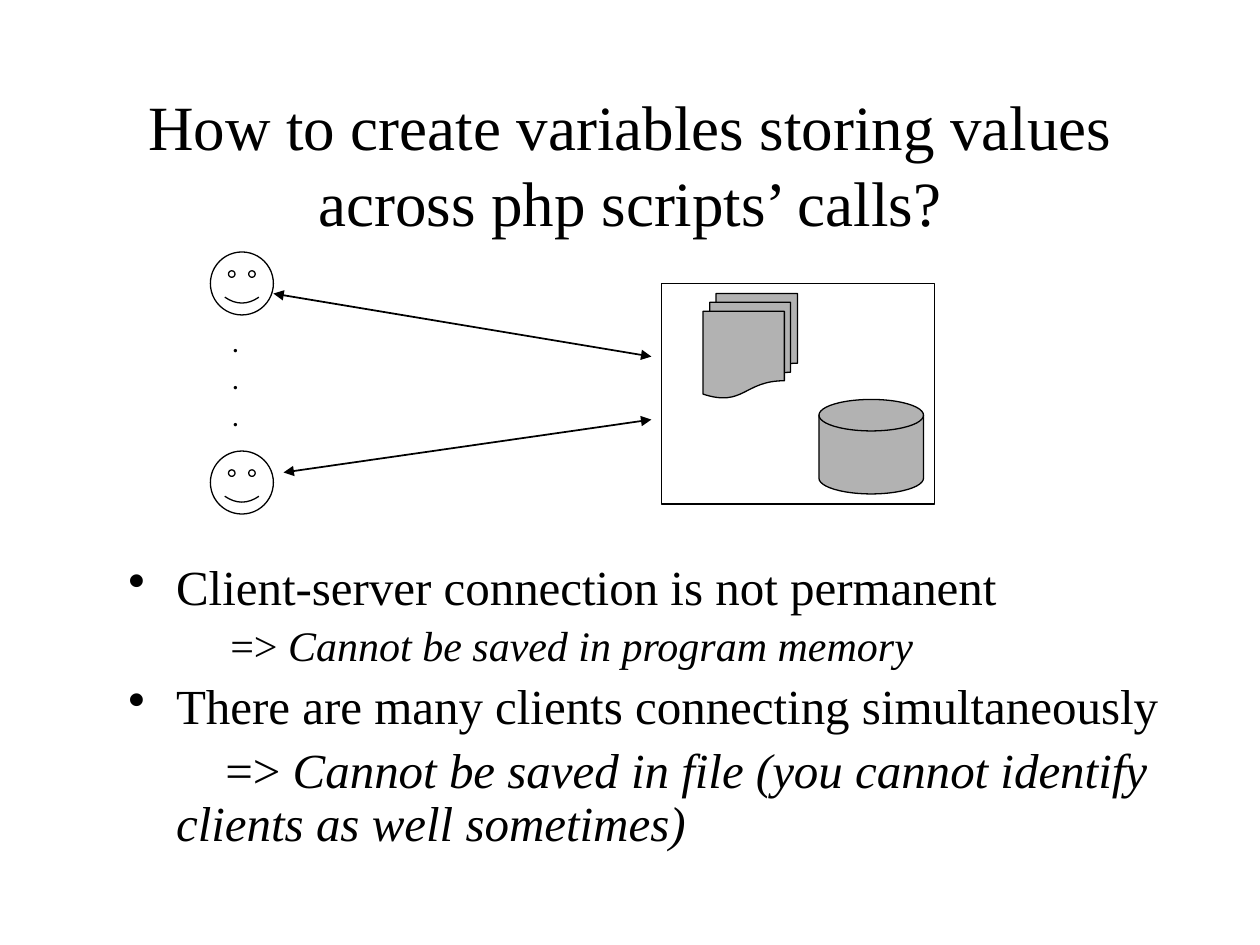
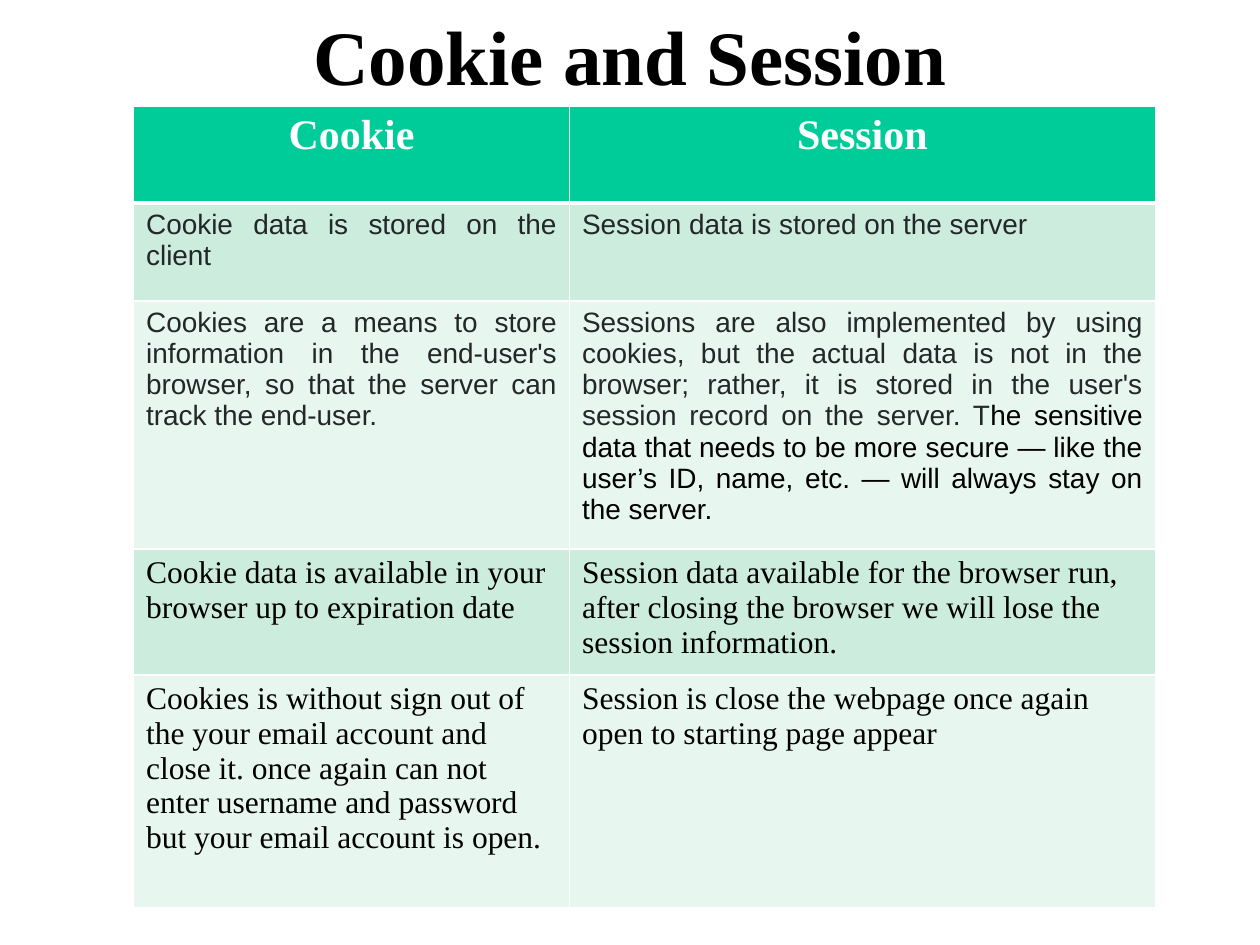
import pptx
import pptx.util
import pptx.dml.color
import pptx.enum.shapes
import pptx.enum.text
import pptx.oxml
import pptx.oxml.ns

Inches = pptx.util.Inches
Pt = pptx.util.Pt
SHAPE = pptx.enum.shapes.MSO_SHAPE
ALIGN = pptx.enum.text.PP_ALIGN
NS = pptx.oxml.ns.nsdecls("a")
SERIF = "Times New Roman"
SANS = "Arial"
BLACK, WHITE, GREY, INK = "000000", "FFFFFF", "B2B2B2", "242729"
GREEN, MINT, PALE = "00CC99", "CCECDE", "E7F6EF"


def rgb(value):
    return pptx.dml.color.RGBColor.from_string(value)


def text(p, t, size=18, font=SERIF, color=BLACK, bold=False, italic=False,
         align=None, before=None, line=None):
    if align is not None:
        p.alignment = align
    if before is not None:
        p.space_before = Pt(before)
    if line is not None:
        p.line_spacing = line
    r = p.add_run()
    r.text = t
    r.font.size = Pt(size)
    r.font.name = font
    r.font.bold = bold
    r.font.italic = italic
    r.font.color.rgb = rgb(color)


prs = pptx.Presentation()
prs.slide_width = Inches(10)
prs.slide_height = Inches(7.5)

titles = [
    ("How to create variables storing values across php scripts’ calls?", 0.67, 36, False),
    ("Cookie and Session", -0.19, 44, True),
]
slides = []
for title, top, size, bold in titles:
    s = prs.slides.add_slide(prs.slide_layouts[6])
    s.background.fill.solid()
    s.background.fill.fore_color.rgb = rgb(WHITE)
    tf = s.shapes.add_textbox(Inches(0.75), Inches(top), Inches(8.5), Inches(1.25)).text_frame
    tf.word_wrap = True
    tf.vertical_anchor = pptx.enum.text.MSO_ANCHOR.MIDDLE
    text(tf.paragraphs[0], title, size=size, bold=bold, align=ALIGN.CENTER)
    slides.append(s)

s = slides[0]
tf = s.shapes.add_textbox(Inches(0.92), Inches(4.42), Inches(8.5), Inches(2.33)).text_frame
tf.word_wrap = True
points = [
    (28, 0.38, -0.38, True, "Client-server connection is not permanent", ""),
    (24, 0.81, 0, False, "=> ", "Cannot be saved in program memory"),
    (28, 0.38, -0.38, True, "There are many clients connecting simultaneously", ""),
    (28, 0.38, 0.39, False, "=> ",
     "Cannot be saved in file (you cannot identify clients as well sometimes)"),
]
for i, (size, margin, indent, bullet, plain, slanted) in enumerate(points):
    p = tf.add_paragraph() if i else tf.paragraphs[0]
    text(p, plain, size=size, before=size * 0.23, line=0.9)
    if slanted:
        text(p, slanted, size=size, italic=True)
    pPr = p._p.get_or_add_pPr()
    pPr.set("marL", str(Inches(margin)))
    pPr.set("indent", str(Inches(indent)))
    if bullet:
        pPr.append(pptx.oxml.parse_xml(f'<a:buChar {NS} char="•"/>'))

shapes = [
    (SHAPE.SMILEY_FACE, 1.67, 2, 0.5, 0.5, None),
    (SHAPE.SMILEY_FACE, 1.67, 3.58, 0.5, 0.5, None),
    (SHAPE.RECTANGLE, 5.25, 2.25, 2.17, 1.75, None),
    (SHAPE.FLOWCHART_MULTIDOCUMENT, 5.58, 2.33, 0.75, 0.83, GREY),
    (SHAPE.FLOWCHART_MAGNETIC_DISK, 6.5, 3.17, 0.83, 0.75, GREY),
]
for kind, x, y, w, h, fill in shapes:
    sp = s.shapes.add_shape(kind, Inches(x), Inches(y), Inches(w), Inches(h))
    sp.shadow.inherit = False
    sp.line.color.rgb = rgb(BLACK)
    sp.line.width = Pt(0.75)
    if fill:
        sp.fill.solid()
        sp.fill.fore_color.rgb = rgb(fill)
    else:
        sp.fill.background()

for x1, y1, x2, y2 in [(2.17, 2.33, 5.17, 2.83), (2.25, 3.75, 5.17, 3.33)]:
    sp = s.shapes.add_connector(pptx.enum.shapes.MSO_CONNECTOR.STRAIGHT,
                                Inches(x1), Inches(y1), Inches(x2), Inches(y2))
    sp.line.color.rgb = rgb(BLACK)
    sp.line.width = Pt(1)
    for end in ("headEnd", "tailEnd"):
        sp.line._get_or_add_ln().append(pptx.oxml.parse_xml(f'<a:{end} {NS} type="triangle"/>'))
    sp._element.spPr.append(pptx.oxml.parse_xml(f"<a:effectLst {NS}/>"))

tf = s.shapes.add_textbox(Inches(1.75), Inches(2.58), Inches(0.42), Inches(0.9)).text_frame
tf.word_wrap = True
for i in range(3):
    p = tf.add_paragraph() if i else tf.paragraphs[0]
    text(p, ".", size=12, bold=True, before=6.9)

s = slides[1]
head = dict(size=24, color=WHITE, bold=True, align=ALIGN.CENTER)
sans = dict(size=16, font=SANS, color=INK, align=ALIGN.JUSTIFY)
rows = [
    (0.77, GREEN, head, "Cookie", "Session"),
    (0.78, MINT, sans, "Cookie data is stored on the client", "Session data is stored on the server"),
    (1.83, PALE, sans,
     "Cookies are a means to store information in the end-user's browser, "
     "so that the server can track the end-user.",
     "Sessions are also implemented by using cookies, but the actual data is not in the browser; "
     "rather, it is stored in the user's session record on the server. T"),
    (0.93, MINT, {}, "Cookie data is available in your browser up to expiration date",
     "Session data available for the browser run, after closing the browser "
     "we will lose the session information."),
    (1.85, PALE, {},
     "Cookies is without sign out of the your email account and close it. once again can not "
     "enter username and password but your email account is open.",
     "Session is close the webpage once again open to starting page appear"),
]
table = s.shapes.add_table(len(rows), 2, Inches(1.06), Inches(0.84), Inches(8.11), Inches(6.16)).table
table.columns[0].width = Inches(3.46)
table.columns[1].width = Inches(4.65)
for i, (height, fill, fmt, *words) in enumerate(rows):
    table.rows[i].height = Inches(height)
    for j, t in enumerate(words):
        cell = table.cell(i, j)
        cell.fill.solid()
        cell.fill.fore_color.rgb = rgb(fill)
        text(cell.text_frame.paragraphs[0], t, **fmt)
        tcPr = cell._tc.get_or_add_tcPr()
        for n, side in enumerate("LRTB"):
            thick = (i, side) in [(0, "B"), (1, "T")]
            tcPr.insert(n, pptx.oxml.parse_xml(
                f'<a:ln{side} {NS} w="{Pt(3 if thick else 1)}"><a:solidFill>'
                f'<a:srgbClr val="{WHITE}"/></a:solidFill></a:ln{side}>'))
text(table.cell(2, 1).text_frame.paragraphs[0],
     "he sensitive data that needs to be more secure — like the user’s ID, name, etc. — "
     "will always stay on the server.", size=16, font=SANS)

prs.save("out.pptx")
